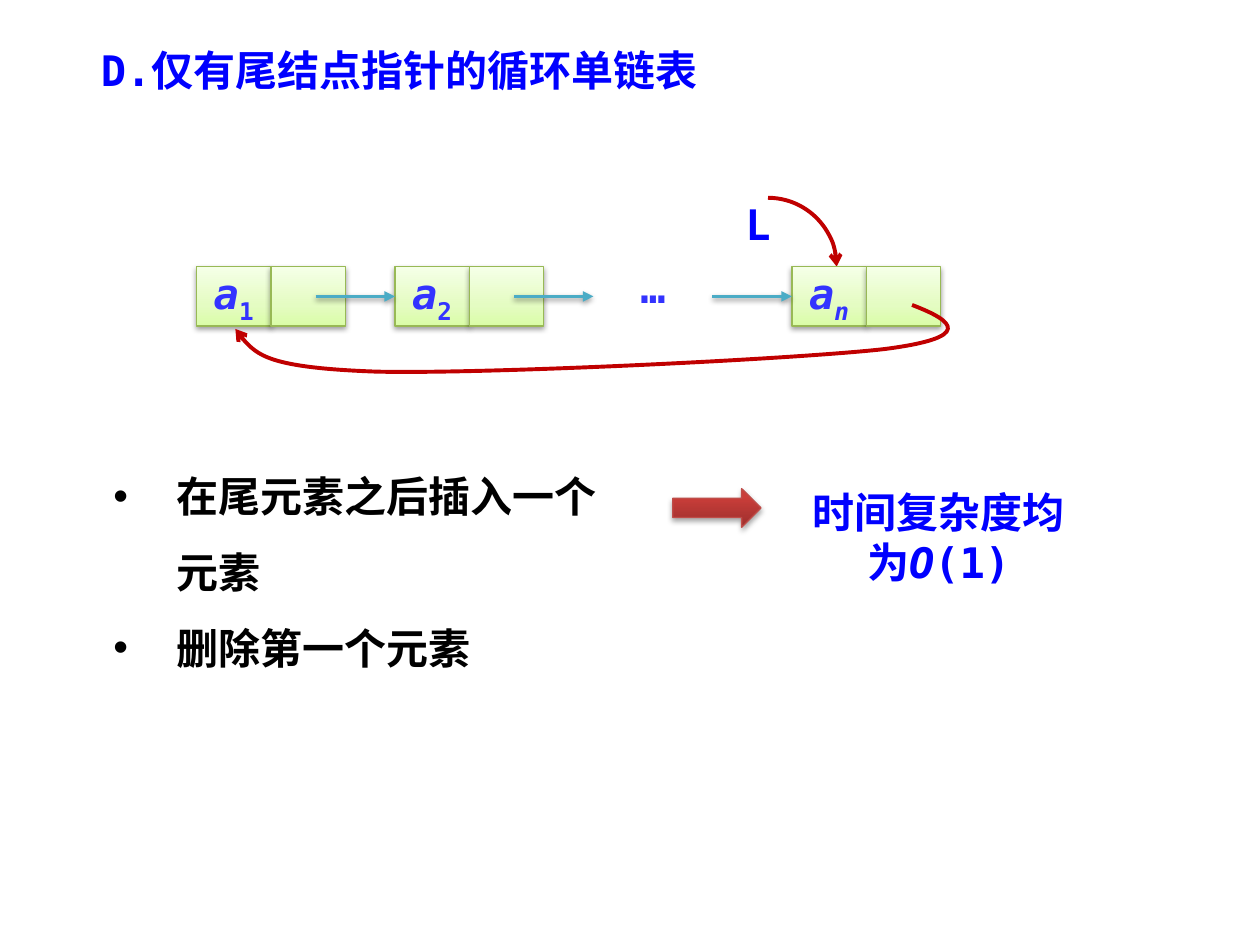
from copy import deepcopy
from lxml.etree import SubElement as Sub
from pptx import Presentation
from pptx.dml.color import RGBColor as RGB
from pptx.enum.shapes import MSO_CONNECTOR as Conn, MSO_SHAPE as Kind
from pptx.enum.text import MSO_ANCHOR as Anchor, MSO_AUTO_SIZE as Fit, PP_ALIGN as Align
from pptx.oxml.ns import qn
from pptx.util import Inches, Pt

HUES = {"blue": "0000FF", "node": "3333FF", "black": "000000", "white": "FFFFFF",
        "rim": "98B955", "link": "4BACC6", "curve": "C00000", "edge": "BF4C48"}
GREEN = [(0, "DAFDA7"), (0.35, "E4FCC2"), (1, "F5FFE7")]
RED = [(0, "9C2F2D"), (0.8, "CB3E3A"), (1, "CE3B37")]
FONT = "DejaVu Sans Mono"
WIDE, HIGH = 10, 7.5
COL, ROW = 0.315, 0.235   # grid of the list diagram
STEP, CELL = 5, 1.875     # columns from node to node, and in one cell


def share(x, y, w, h):
    """Turn shares of the slide's size into a box."""
    return Inches(x * WIDE), Inches(y * HIGH), Inches(w * WIDE), Inches(h * HIGH)


def add_run(par, text, hue, italic=False, base=0):
    run = par.add_run()
    run.text = text
    font = run.font
    font.size, font.name, font.bold, font.italic = Pt(24), FONT, True, italic
    font.color.rgb = RGB.from_string(HUES[hue])
    props = run._r.get_or_add_rPr()
    Sub(props, qn("a:ea"), typeface=FONT)
    if base:
        props.set("baseline", str(base * 1000))


def add_label(shapes, box, runs):
    frame = shapes.add_textbox(*box).text_frame
    frame.word_wrap = True
    par = frame.paragraphs[0]
    par.alignment = Align.CENTER
    for run in runs:
        add_run(par, *run)


def set_line(shape, hue, width, tail=None):
    shape.line.color.rgb = RGB.from_string(HUES[hue])
    shape.line.width = Pt(width)
    if tail:
        Sub(shape.element.spPr.find(qn("a:ln")), qn("a:tailEnd"), type=tail)


def set_shade(shape, alpha, dist):
    """Give a soft shadow that falls straight down."""
    effects = Sub(shape.element.spPr, qn("a:effectLst"))
    outer = Sub(effects, qn("a:outerShdw"), blurRad="40000", dist=str(dist),
                dir="5400000", rotWithShape="0")
    color = Sub(outer, qn("a:srgbClr"), val=HUES["black"])
    Sub(color, qn("a:alpha"), val=str(alpha * 1000))


def set_blend(shape, stops):
    """Fill with three stops, from bottom to top."""
    shape.fill.gradient()
    shape.fill.gradient_angle = 90
    items = shape.element.spPr.xpath(".//a:gsLst")[0]
    items.append(deepcopy(items[-1]))
    for stop, (pos, hue) in zip(shape.fill.gradient_stops, stops):
        stop.position = pos
        stop.color.rgb = RGB.from_string(hue)


def add_cell(shapes, box):
    cell = shapes.add_shape(Kind.RECTANGLE, *box)
    set_blend(cell, GREEN)
    set_line(cell, "rim", 0.75)
    set_shade(cell, 38, 20000)
    return cell


def add_node(shapes, spot, col, row, sub, italic):
    """Draw a data cell and a link cell; return the data cell."""
    data, _ = [add_cell(shapes, spot(col + i * CELL, row, CELL, 2)) for i in range(2)]
    frame = data.text_frame
    frame.word_wrap = False
    frame.vertical_anchor = Anchor.MIDDLE
    par = frame.paragraphs[0]
    par.alignment = Align.CENTER
    add_run(par, "a", "node", True)
    add_run(par, sub, "node", italic, -25)
    return data


def add_curve(shapes, points):
    """Draw Bezier curves through a start and triples of control points."""
    pen = shapes.build_freeform(*points[0])
    pen.add_line_segments(points[1:], close=False)
    curve = pen.convert_to_shape()
    track = curve.element.spPr.xpath(".//a:path")[0]
    lines = track.findall(qn("a:lnTo"))
    for i in range(0, len(lines), 3):
        bend = Sub(track, qn("a:cubicBezTo"))
        for line in lines[i:i + 3]:
            bend.append(line[0])
            track.remove(line)
    return curve


def draw_list(slide, left, top):
    """Draw the circular list on a grid that starts at left, top."""
    def spot(col, row, cols, rows):
        return (Inches(left + col * COL), Inches(top + row * ROW),
                Inches(cols * COL), Inches(rows * ROW))

    shapes = slide.shapes.add_group_shape().shapes
    arc = shapes.add_shape(Kind.ARC, *spot(12.67, 0.17, 3.46, 4.64))
    nodes = {slot: add_node(shapes, spot, slot * STEP, 2.5, sub, italic)
             for slot, sub, italic in [(0, "1", False), (1, "2", False), (3, "n", True)]}
    add_label(shapes, spot(10.5, 2.1, 2, 2.13), [("…", "node")])
    for slot in range(3):
        x, y, w, _ = spot(slot * STEP + 3, 3.5, 2, 0)
        link = shapes.add_connector(Conn.STRAIGHT, x, y, x + w, y)
        if slot + 1 in nodes:
            link.end_connect(nodes[slot + 1], 1)
        set_line(link, "link", 2, "triangle")
        set_shade(link, 38, 20000)
    grid = [(18.03, 3.79), (19.11, 4.34), (19.59, 4.89), (17.33, 5.28), (15.08, 5.62),
            (7.24, 6.13), (4.51, 6.04), (1.81, 5.91), (1.3, 5.28), (0.98, 4.6)]
    back = add_curve(shapes, [spot(x, y, 0, 0)[:2] for x, y in grid])
    for shape in (arc, back):
        shape.fill.background()
        set_line(shape, "curve", 2.25, "arrow")
        shape.shadow.inherit = False
    add_label(shapes, spot(13.4, 0, 1.5, 2.13), [("L", "blue")])


def fill_holder(holder, box, lines, hue):
    """Move a placeholder and write its lines."""
    holder.left, holder.top, holder.width, holder.height = box
    frame = holder.text_frame
    frame.auto_size = Fit.NONE
    frame.word_wrap = True
    frame.vertical_anchor = Anchor.TOP
    for i, line in enumerate(lines):
        par = frame.add_paragraph() if i else frame.paragraphs[0]
        par.alignment = Align.LEFT
        par.space_before = Pt(0)
        add_run(par, line, hue)
    return frame.paragraphs


def draw_steps(holder, box):
    holder.fill.solid()
    holder.fill.fore_color.rgb = RGB.from_string(HUES["white"])
    for par in fill_holder(holder, box, ["在尾元素之后插入一个元素", "删除第一个元素"], "black"):
        par.line_spacing = 1.5
        props = par._p.get_or_add_pPr()
        props.set("marL", str(Inches(0.5)))
        props.set("indent", str(-Inches(0.5)))


def draw_cost(slide, mark, box):
    arrow = slide.shapes.add_shape(Kind.RIGHT_ARROW, *mark)
    set_blend(arrow, RED)
    set_line(arrow, "edge", 0.75)
    set_shade(arrow, 35, 23000)
    add_label(slide.shapes, box,
              [("时间复杂度均为", "blue"), ("O", "blue", True), ("(1)", "blue")])


def main():
    deck = Presentation()
    deck.slide_width, deck.slide_height = Inches(WIDE), Inches(HIGH)
    slide = deck.slides.add_slide(deck.slide_layouts[1])
    title, body = slide.placeholders
    fill_holder(title, share(0.07, 0.04, 0.5, 0.07), ["D.仅有尾结点指针的循环单链表"], "blue")
    draw_list(slide, 1.56, 1.53)
    draw_steps(body, share(0.08, 0.465, 0.41, 0.255))
    draw_cost(slide, share(0.534, 0.517, 0.07, 0.041), share(0.62, 0.508, 0.25, 0.12))
    deck.save("out.pptx")


if __name__ == "__main__":
    main()
